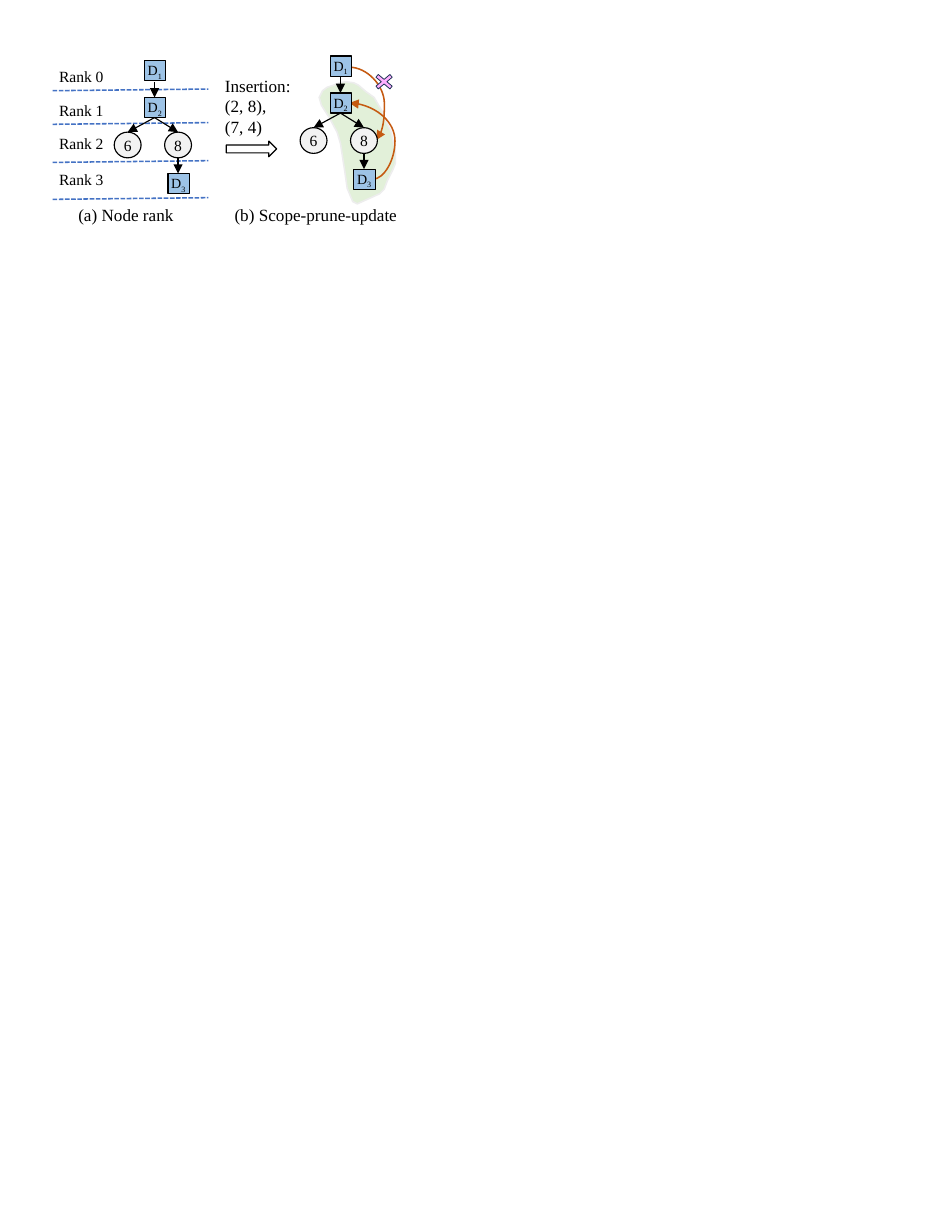
from dataclasses import dataclass

from lxml import etree
from pptx import Presentation
from pptx import util as u
from pptx.dml.color import RGBColor
from pptx.enum import dml, shapes, text
from pptx.oxml.ns import qn


@dataclass(frozen=True)
class Theme:
    font: str = "Times New Roman"
    ink: str = "000000"
    rank_line: str = "4472C4"
    insertion: str = "C55A11"
    square: str = "9DC3E6"
    circle: str = "F2F2F2"
    scope: str = "E2F0D9"
    scope_edge: str = "EDEDED"
    cross: str = "FFAFFF"
    cross_edge: str = "1E3256"
    caption_size: float = 11
    body_size: float = 10
    node_size: float = 9
    thin: float = 0.75
    thick: float = 1


THEME = Theme()
LEFT, CENTER = text.PP_ALIGN.LEFT, text.PP_ALIGN.CENTER
SQUARE_WIDTH, SQUARE_HEIGHT = 0.19, 0.18
CIRCLE_WIDTH, CIRCLE_HEIGHT = 0.24, 0.23

# Outline of the update scope, in inches on the page
SCOPE = [
    (3.19, 1.82), (3.39, 1.73), (3.43, 1.69), (3.46, 1.61), (3.48, 1.57),
    (3.51, 1.51), (3.53, 1.46), (3.53, 1.34), (3.51, 1.26), (3.49, 1.17),
    (3.45, 1.09), (3.41, 0.99), (3.34, 0.87), (3.27, 0.82), (3.2, 0.76),
    (3.16, 0.74), (3.09, 0.73), (3.03, 0.74), (2.98, 0.76), (2.92, 0.78),
    (2.88, 0.81), (2.85, 0.87), (2.87, 0.94), (2.94, 1.05), (3.01, 1.18),
    (3.04, 1.28), (3.06, 1.41), (3.08, 1.54), (3.1, 1.68), (3.15, 1.8),
]


def inches(*values):
    return [u.Inches(value) for value in values]


def style_shape(shape, fill, line, width):
    shape.shadow.inherit = False
    if fill:
        shape.fill.solid()
        shape.fill.fore_color.rgb = RGBColor.from_string(fill)
    else:
        shape.fill.background()
    shape.line.color.rgb = RGBColor.from_string(line)
    shape.line.width = u.Pt(width)


def add_shape(page, kind, box, fill=None, line=THEME.ink, width=THEME.thin):
    shape = page.shapes.add_shape(kind, *inches(*box))
    style_shape(shape, fill, line, width)
    return shape


def write(frame, lines, size, align=LEFT, subscript=None):
    for index, line in enumerate(lines):
        para = frame.paragraphs[0] if index == 0 else frame.add_paragraph()
        para.alignment = align
        for part in (line, subscript):
            if part is None:
                continue
            span = para.add_run()
            span.text = part
            span.font.name = THEME.font
            span.font.size = u.Pt(size)
            span.font.color.rgb = RGBColor.from_string(THEME.ink)
            if part is subscript:
                span.font._element.set("baseline", "-25000")


def add_text(page, box, *lines, size=THEME.body_size, **options):
    frame = page.shapes.add_textbox(*inches(*box)).text_frame
    frame.word_wrap = True
    frame.auto_size = text.MSO_AUTO_SIZE.SHAPE_TO_FIT_TEXT
    write(frame, lines, size, **options)


def add_line(page, start, end, color=THEME.ink, width=THEME.thin,
             arrow=True, bend=None):
    kind = shapes.MSO_CONNECTOR.STRAIGHT if bend is None else shapes.MSO_CONNECTOR.CURVE
    line = page.shapes.add_connector(kind, *inches(*start, *end))
    line.line.color.rgb = RGBColor.from_string(color)
    line.line.width = u.Pt(width)
    if arrow:
        etree.SubElement(line.line._get_or_add_ln(), qn("a:tailEnd"), type="triangle")
    else:
        line.line.dash_style = dml.MSO_LINE.SQUARE_DOT
    properties = line._element.spPr
    etree.SubElement(properties, qn("a:effectLst"))
    if bend is not None:
        guides = properties.find(qn("a:prstGeom")).get_or_add_avLst()
        etree.SubElement(guides, qn("a:gd"), name="adj1",
                         fmla=f"val {round(bend * 100000)}")


def add_square(page, left, top, number):
    add_shape(page, shapes.MSO_SHAPE.RECTANGLE,
              (left, top, SQUARE_WIDTH, SQUARE_HEIGHT), THEME.square)
    add_text(page, (left - 0.07, top - 0.04, 0.41, 0.25), "D",
             size=THEME.node_size, subscript=number)


def add_circle(page, left, top, label):
    circle = add_shape(page, shapes.MSO_SHAPE.OVAL,
                       (left, top, CIRCLE_WIDTH, CIRCLE_HEIGHT), THEME.circle)
    frame = circle.text_frame
    frame.margin_left = frame.margin_right = frame.margin_top = frame.margin_bottom = 0
    frame.vertical_anchor = text.MSO_ANCHOR.MIDDLE
    write(frame, [label], THEME.body_size, align=CENTER)


def add_tree(page, left, top):
    """Place the five-node tree with its top left corner at left, top."""
    root, low = left + 0.36, left + 0.57
    second, circles, third = top + 0.33, top + 0.64, top + 1.01
    # Edges
    for start, end in [
        ((root, top + 0.19), (root, second)),
        ((root, second + SQUARE_HEIGHT), (left + 0.12, circles)),
        ((root, second + SQUARE_HEIGHT), (low, circles)),
        ((low, circles + CIRCLE_HEIGHT), (low, third)),
    ]:
        add_line(page, start, end)
    # Nodes
    add_circle(page, left, circles, "6")
    add_circle(page, left + 0.45, circles, "8")
    add_square(page, left + 0.27, top, "1")
    add_square(page, left + 0.27, second, "2")
    add_square(page, left + 0.48, third, "3")


def add_node_rank(page, left, top):
    """Panel (a): the tree cut into ranks by dashed lines."""
    ranks = zip((0.05, 0.35, 0.65, 0.97), (0.31, 0.61, 0.95, 1.28))
    for rank, (label, rule) in enumerate(ranks):
        add_line(page, (left + 0.04, top + rule), (left + 1.43, top + rule - 0.015),
                 THEME.rank_line, THEME.thick, arrow=False)
        add_text(page, (left, top + label, 1.38, 0.27), f"Rank {rank}")
    add_tree(page, left + 0.59, top + 0.04)
    add_text(page, (left - 0.42, top + 1.28, 2.23, 0.29), "(a) Node rank",
             size=THEME.caption_size, align=CENTER)


def add_insertion(page, left, top):
    """The inserted edges and the arrow between the panels."""
    add_text(page, (left, top, 0.79, 0.66), "Insertion:", "(2, 8),", "(7, 4)",
             size=THEME.caption_size)
    add_shape(page, shapes.MSO_SHAPE.RIGHT_ARROW, (left + 0.11, top + 0.64, 0.45, 0.14))


def add_scope_update(page, left, top):
    """Panel (b): the tree with its update scope and inserted edges."""
    outline = page.shapes.build_freeform(*inches(*SCOPE[0]), scale=1.0)
    outline.add_line_segments([inches(*point) for point in SCOPE[1:]], close=True)
    style_shape(outline.convert_to_shape(), THEME.scope, THEME.scope_edge, THEME.thick)
    # Inserted edges, the first one pruned
    for start, end, bend in [((0.44, 0.1), (0.68, 0.75), 1.3),
                             ((0.65, 1.1), (0.44, 0.42), -0.94)]:
        add_line(page, (left + start[0], top + start[1]), (left + end[0], top + end[1]),
                 THEME.insertion, THEME.thick, bend=bend)
    cross = add_shape(page, shapes.MSO_SHAPE.MATH_MULTIPLY,
                      (left + 0.63, top + 0.13, 0.24, 0.2),
                      THEME.cross, THEME.cross_edge, 0.5)
    cross.adjustments[0] = 0.16
    add_tree(page, left, top)
    add_text(page, (left - 0.75, top + 1.28, 1.78, 0.29), "(b) Scope-prune-update",
             size=THEME.caption_size, align=CENTER)


def main():
    deck = Presentation()
    deck.slide_width, deck.slide_height = inches(8.5, 11)
    page = deck.slides.add_slide(deck.slide_layouts[6])
    add_node_rank(page, 0.43, 0.5)
    add_insertion(page, 1.91, 0.62)
    add_scope_update(page, 2.68, 0.5)
    deck.save("out.pptx")


if __name__ == "__main__":
    main()
